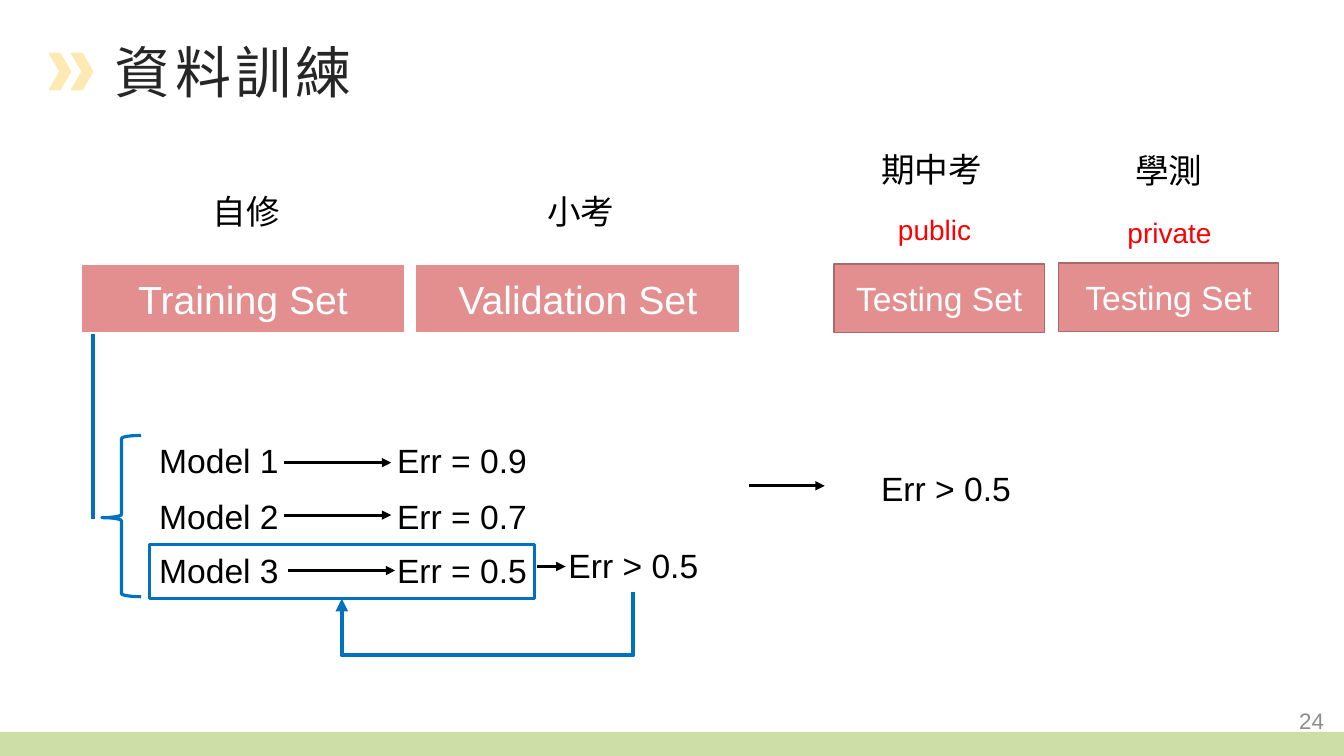
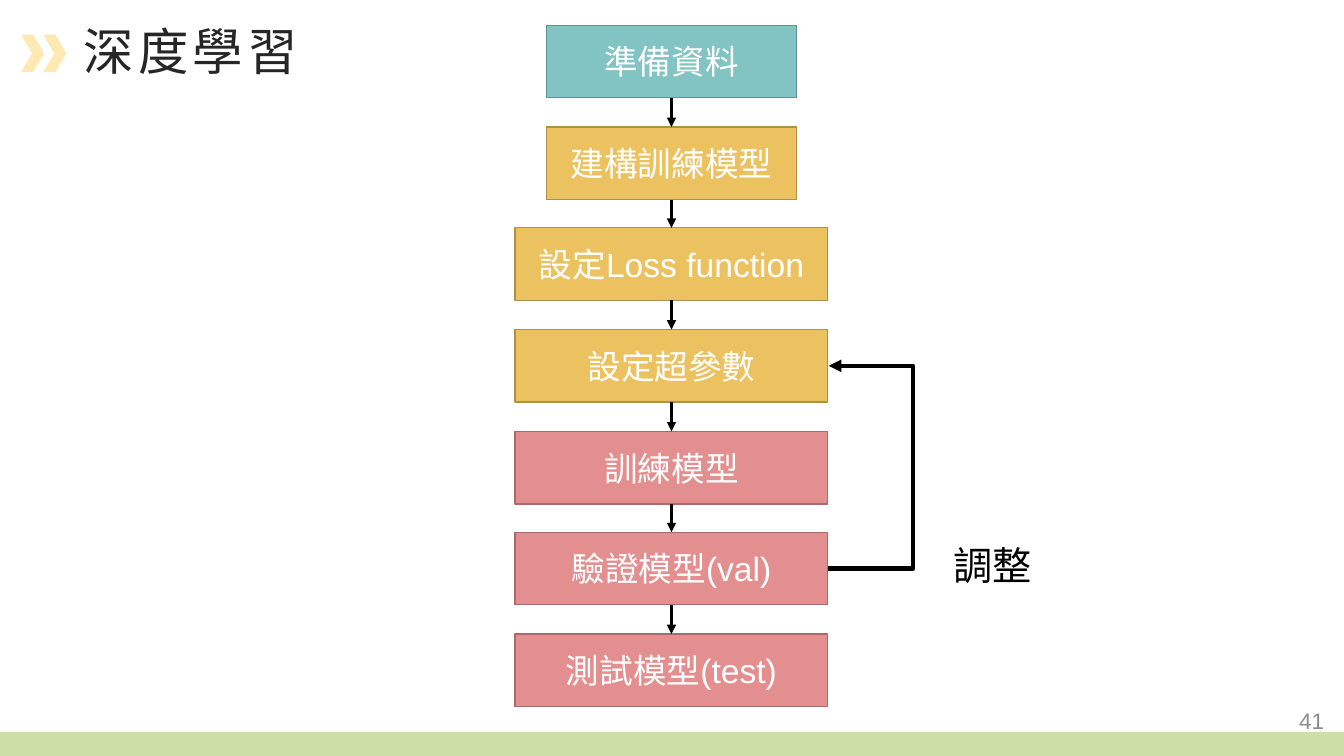
from dataclasses import dataclass
from typing import Optional

from lxml.etree import SubElement
from pptx import Presentation
from pptx.dml.color import RGBColor as RGB
from pptx.enum.shapes import MSO_CONNECTOR as Link, MSO_SHAPE as Kind
from pptx.enum.text import MSO_ANCHOR as Anchor, MSO_AUTO_SIZE as Fit, PP_ALIGN as Align
from pptx.oxml.ns import qn
from pptx.util import Emu, Pt

# Scale: 100 px to the inch
SCALE = 9144
WIDE, HIGH = 1333, 750

# Colours and fonts
WHITE = RGB(0xFF, 0xFF, 0xFF)
BLACK = RGB(0x00, 0x00, 0x00)
INK = RGB(0x26, 0x26, 0x26)
GREY = RGB(0x8C, 0x8C, 0x8C)
RED = RGB(0xFF, 0x00, 0x00)
BLUE = RGB(0x00, 0x70, 0xC0)
GREEN = RGB(0xCE, 0xDE, 0xA7)
CREAM = RGB(0xFF, 0xE9, 0xB3)
ROSE, WINE = RGB(0xE3, 0x8F, 0x90), RGB(0xA8, 0x6A, 0x6B)
GOLD, BRONZE = RGB(0xEC, 0xC2, 0x61), RGB(0xAF, 0x90, 0x48)
TEAL, PINE = RGB(0x82, 0xC3, 0xC3), RGB(0x60, 0x90, 0x90)
LATIN, HAN = "Arial", "Noto Sans CJK SC"


@dataclass
class Box:
    x: int
    y: int
    w: int
    h: int
    text: str = ""
    fill: Optional[RGB] = ROSE
    edge: Optional[RGB] = WINE
    line: float = 1
    size: int = 24
    kind: Kind = Kind.RECTANGLE


@dataclass
class Note:
    x: int
    y: int
    w: int
    text: str
    h: int = 50
    size: int = 24
    ink: RGB = BLACK
    align: Align = Align.LEFT
    anchor: Anchor = Anchor.TOP


@dataclass
class Line:
    x1: int
    y1: int
    x2: int
    y2: int
    ink: RGB = BLACK
    width: float = 2.25
    head: bool = True


@dataclass
class Head:
    text: str
    page: int
    mark: tuple[int, int]
    left: int
    top: int
    high: int
    size: int


def px(*nums: int) -> list[Emu]:
    return [Emu(round(num * SCALE)) for num in nums]


def write(shape, text: str, size: int, ink: RGB, align: Align, anchor: Anchor,
          face: str = LATIN):
    """Fill a shape with one styled line and return its run."""
    frame = shape.text_frame
    frame.text = text
    frame.word_wrap = True
    frame.auto_size = Fit.NONE
    frame.vertical_anchor = anchor
    para = frame.paragraphs[0]
    para.alignment = align
    run = para.runs[0]
    run.font.name, run.font.size = face, Pt(size)
    run.font.color.rgb = ink
    SubElement(run.font._element, qn("a:ea"), typeface=HAN)
    return run


def add_box(slide, box: Box):
    shape = slide.shapes.add_shape(box.kind, *px(box.x, box.y, box.w, box.h))
    shape.shadow.inherit = False
    if box.fill is None:
        shape.fill.background()
    else:
        shape.fill.solid()
        shape.fill.fore_color.rgb = box.fill
    if box.edge is None:
        shape.line.fill.background()
    else:
        shape.line.color.rgb = box.edge
        shape.line.width = Pt(box.line)
    if box.text:
        write(shape, box.text, box.size, WHITE, Align.CENTER, Anchor.MIDDLE)
    return shape


def add_note(slide, note: Note) -> None:
    shape = slide.shapes.add_textbox(*px(note.x, note.y, note.w, note.h))
    write(shape, note.text, note.size, note.ink, note.align, note.anchor)


def add_line(slide, line: Line, kind: Link = Link.STRAIGHT):
    link = slide.shapes.add_connector(kind, *px(line.x1, line.y1, line.x2, line.y2))
    link.line.color.rgb = line.ink
    link.line.width = Pt(line.width)
    props = link.element.spPr
    if line.head:
        SubElement(props.find(qn("a:ln")), qn("a:tailEnd"), type="triangle")
    SubElement(props, qn("a:effectLst"))
    return props


def add_bend(slide, line: Line, mid: int, turn: bool = False) -> None:
    """Draw an elbow arrow through x = mid, or y = mid when turned 90 degrees."""
    start, end = (line.y1, line.y2) if turn else (line.x1, line.x2)
    if turn:
        w, h = line.y2 - line.y1, line.x1 - line.x2
        x, y = (line.x1 + line.x2 - w) // 2, (line.y1 + line.y2 - h) // 2
        line = Line(x, y, x + w, y + h, line.ink, line.width)
    props = add_line(slide, line, Link.ELBOW)
    if turn:
        props.find(qn("a:xfrm")).set("rot", "5400000")
    ratio = round((mid - start) / (end - start) * 100000)
    guides = props.find(qn("a:prstGeom")).find(qn("a:avLst"))
    SubElement(guides, qn("a:gd"), name="adj1", fmla=f"val {ratio}")


def add_slide(deck, head: Head):
    """Start a slide with band, page number, chevrons and title."""
    slide = deck.slides.add_slide(deck.slide_layouts[5])
    add_box(slide, Box(0, 726, WIDE, 24, fill=GREEN, edge=None))
    add_note(slide, Note(1023, 695, 300, str(head.page), 40, 16, GREY,
                         Align.RIGHT, Anchor.MIDDLE))
    x, y = head.mark
    for step in (0, 22):
        add_box(slide, Box(x + step, y, 21, 36, fill=CREAM, edge=CREAM,
                           kind=Kind.CHEVRON))
    title = slide.shapes.title
    title.left, title.top, title.width, title.height = px(
        head.left, head.top, 623, head.high)
    run = write(title, head.text, head.size, INK, Align.LEFT, Anchor.MIDDLE, HAN)
    run.font._element.set("spc", "300")
    return slide


def add_data(deck) -> None:
    slide = add_slide(deck, Head("資料訓練", 24, (49, 53), 104, 32, 77, 40))

    # Data sets
    for box in (
        Box(80, 262, 322, 68, "Training Set", edge=WHITE, line=1.5, size=28),
        Box(412, 262, 322, 68, "Validation Set", edge=WHITE, line=1.5, size=28),
        Box(827, 262, 209, 68, "Testing Set"),
        Box(1050, 261, 218, 68, "Testing Set"),
    ):
        add_box(slide, box)
    for note in (
        Note(201, 184, 94, "自修"),
        Note(533, 184, 94, "小考"),
        Note(864, 143, 147, "期中考"),
        Note(1116, 144, 88, "學測"),
        Note(827, 206, 200, "public", 44, 20, RED, Align.CENTER),
        Note(1060, 209, 200, "private", 44, 20, RED, Align.CENTER),
        Note(554, 536, 160, "Err > 0.5"),
        Note(864, 459, 199, "Err > 0.5"),
    ):
        add_note(slide, note)

    # Models and their errors
    rows = ((432, "0.9", 282, 459), (487, "0.7", 282, 511), (541, "0.5", 286, 566))
    for num, (top, err, x, y) in enumerate(rows, 1):
        add_note(slide, Note(148, top, 178, f"Model {num}"))
        add_note(slide, Note(384, top, 160, f"Err = {err}"))
        add_line(slide, Line(x, y, x + 106, y))

    # Links
    add_line(slide, Line(92, 331, 92, 515, BLUE, 3, False))
    add_line(slide, Line(533, 562, 561, 562))
    add_line(slide, Line(743, 482, 818, 482))
    add_bend(slide, Line(628, 587, 339, 594, BLUE, 3), 650, turn=True)

    # Brace and frame
    brace = add_box(slide, Box(101, 432, 39, 160, fill=None, edge=BLUE, line=2.25,
                               kind=Kind.LEFT_BRACE))
    brace.adjustments[0], brace.adjustments[1] = 0.08, 0.51
    add_box(slide, Box(148, 540, 382, 54, fill=None, edge=BLUE, line=2.25))


def add_flow(deck) -> None:
    slide = add_slide(deck, Head("深度學習", 41, (22, 35), 73, 14, 71, 36))
    steps = (
        ("準備資料", 248, TEAL, PINE),
        ("建構訓練模型", 248, GOLD, BRONZE),
        ("設定Loss function", 310, GOLD, BRONZE),
        ("設定超參數", 310, GOLD, BRONZE),
        ("訓練模型", 310, ROSE, WINE),
        ("驗證模型(val)", 310, ROSE, WINE),
        ("測試模型(test)", 310, ROSE, WINE),
    )
    mid, first, last, high = 666, 25, 629, 72
    tops = [first + round(i * (last - first) / (len(steps) - 1))
            for i in range(len(steps))]

    # Steps and the arrows between them
    for top, (text, wide, fill, edge) in zip(tops, steps):
        add_box(slide, Box(mid - wide // 2, top, wide, high, text, fill, edge))
    for top, below in zip(tops, tops[1:]):
        add_line(slide, Line(mid, top + high, mid, below))

    # Way back
    add_bend(slide, Line(821, tops[5] + high // 2, 822, tops[3] + high // 2,
                         width=3), 907)
    add_note(slide, Note(930, 532, 109, "調整", 57, 28, align=Align.CENTER))


def main() -> None:
    deck = Presentation()
    deck.slide_width, deck.slide_height = px(WIDE, HIGH)
    add_data(deck)
    add_flow(deck)
    deck.save("out.pptx")


if __name__ == "__main__":
    main()
